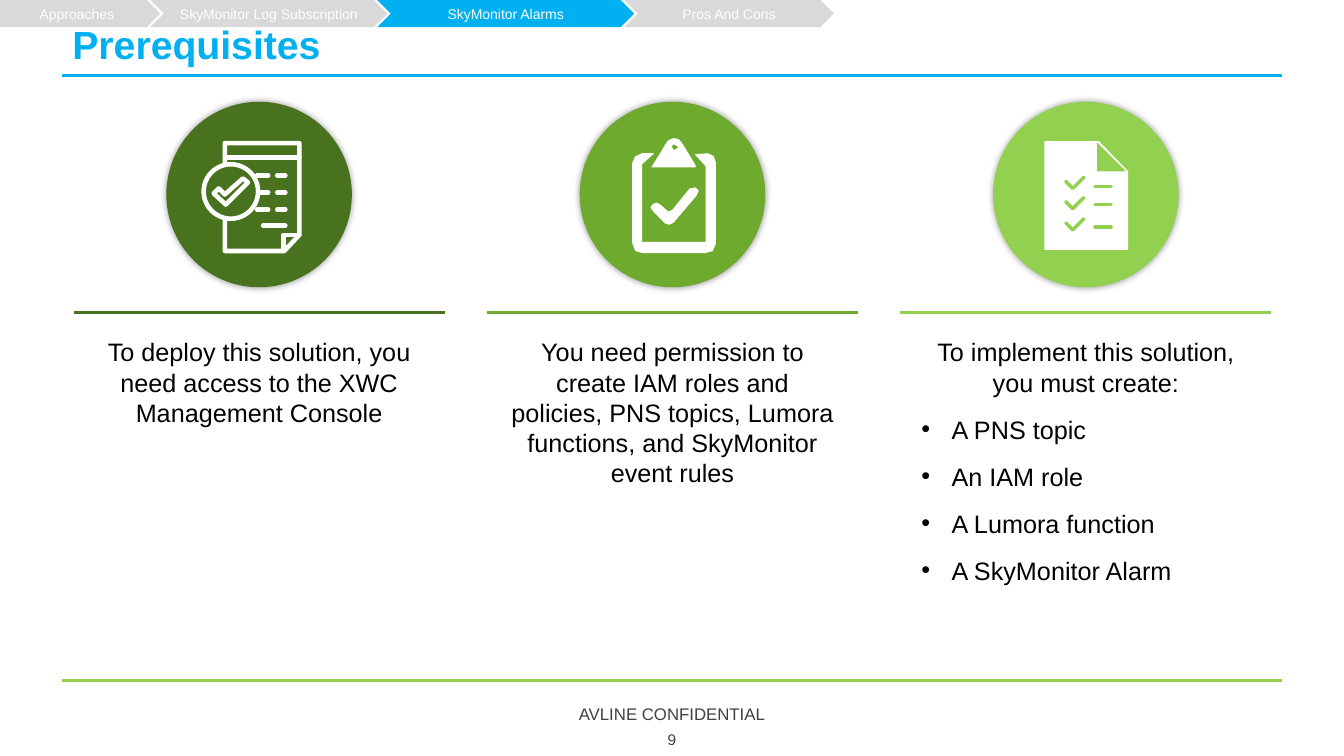
from pptx import Presentation
from pptx.dml.color import RGBColor
from pptx.enum.shapes import MSO_CONNECTOR, MSO_SHAPE
from pptx.enum.text import MSO_ANCHOR, PP_ALIGN
from pptx.oxml.ns import qn
from pptx.util import Inches, Pt
from lxml import etree

STRAIGHT = MSO_CONNECTOR.STRAIGHT
OVAL, PENTAGON, CHEVRON = MSO_SHAPE.OVAL, MSO_SHAPE.PENTAGON, MSO_SHAPE.CHEVRON
TOP, MIDDLE, BOTTOM = MSO_ANCHOR.TOP, MSO_ANCHOR.MIDDLE, MSO_ANCHOR.BOTTOM
LEFT, CENTER = PP_ALIGN.LEFT, PP_ALIGN.CENTER

FONT = "Arial"
BLACK = RGBColor(0x00, 0x00, 0x00)
WHITE = RGBColor(0xFF, 0xFF, 0xFF)
GREY = RGBColor(0xD9, 0xD9, 0xD9)
DARK_GREY = RGBColor(0x40, 0x40, 0x40)
BLUE = RGBColor(0x00, 0xB0, 0xF0)
DARK_GREEN = RGBColor(0x49, 0x72, 0x1E)
GREEN = RGBColor(0x6E, 0xAA, 0x2E)
LIGHT_GREEN = RGBColor(0x92, 0xD0, 0x50)

WIDTH, HEIGHT = Inches(13.33), Inches(7.5)
MARGIN, RULE_WIDTH = Inches(0.62), Inches(12.1)
COLUMN_LEFT, COLUMN_PITCH, COLUMN_WIDTH = Inches(0.73), Inches(4.1), Inches(3.68)
DISC = Inches(1.84)
UNIT = DISC // 184  # icons are drawn on a grid of 184 units across the disc

STEPS = [("Approaches", 1.59), ("SkyMonitor Log Subscription", 2.35),
         ("SkyMonitor Alarms", 2.55), ("Pros And Cons", 2.08)]
CURRENT_STEP = 2
STEP_OVERLAP, STEP_HEIGHT = Inches(0.1), Inches(0.27)


def style_para(para, text, size, colour, align=LEFT, bold=False):
    para.text = text
    para.alignment = align
    para.font.name, para.font.size, para.font.bold = FONT, Pt(size), bold
    para.font.color.rgb = colour


def add_text(page, box, anchor=TOP):
    frame = page.shapes.add_textbox(*box).text_frame
    frame.word_wrap, frame.vertical_anchor = True, anchor
    return frame


def paint(shape, colour):
    shape.shadow.inherit = False
    shape.fill.solid()
    shape.fill.fore_color.rgb = colour
    shape.line.fill.background()


def add_line(page, start, end, colour, width=2.25):
    line = page.shapes.add_connector(STRAIGHT, *start, *end)
    line.line.color.rgb, line.line.width = colour, Pt(width)
    etree.SubElement(line._element.spPr, qn("a:effectLst"))
    return line


def add_rule(page, left, top, width, colour):
    add_line(page, (left, top), (left + width, top), colour)


def outline(page, origin, contours, closed=True):
    """One freeform from lists of grid points; inner contours become holes."""
    builder = page.shapes.build_freeform(*contours[0][0], scale=UNIT)
    for index, points in enumerate(contours):
        if index:
            builder.move_to(*points[0])
        builder.add_line_segments(points[1:], close=closed)
    return builder.convert_to_shape(*origin)


def add_solid(page, origin, *contours):
    paint(outline(page, origin, contours), WHITE)


def add_stroke(page, origin, points, colour=WHITE, width=3.25, closed=False):
    if len(points) == 2:
        ends = [(origin[0] + x * UNIT, origin[1] + y * UNIT) for x, y in points]
        shape = add_line(page, *ends, colour, width)
    else:
        shape = outline(page, origin, [points], closed)
        shape.shadow.inherit = False
        shape.fill.background()
        shape.line.color.rgb, shape.line.width = colour, Pt(width)
    line = shape._element.spPr.find(qn("a:ln"))
    line.set("cap", "rnd")
    etree.SubElement(line, qn("a:round"))


def draw_review_icon(page, origin, colour):
    left, top = origin
    lens = page.shapes.add_shape(OVAL, left + 37 * UNIT, top + 62 * UNIT, 54 * UNIT, 54 * UNIT)
    paint(lens, colour)
    lens.line.color.rgb, lens.line.width = WHITE, Pt(3.25)
    sheet = [(58, 62), (58, 41), (132, 41), (132, 132), (117, 148), (58, 148), (58, 118)]
    fold = [(116, 148), (116, 132), (132, 132)]
    dashes = [[(start, y), (end, y)] for start, end, y in
              [(58, 132, 55), (90, 101, 73), (94, 101, 90), (90, 101, 107), (96, 118, 123)]]
    dashes += [[(110, y), (118, y)] for y in (73, 90, 107)]
    for points in [sheet, fold, *dashes]:
        add_stroke(page, origin, points)
    tick = [(47, 91), (52, 86), (58, 92), (76, 76), (81, 80), (59, 102)]
    add_stroke(page, origin, tick, closed=True)


def draw_clipboard_icon(page, origin, colour):
    board = [(74, 51), (62, 62), (62, 139), (125, 139), (125, 64), (114, 52), (127, 51),
             (133, 54), (135, 60), (135, 141), (132, 148), (125, 150), (62, 150),
             (55, 148), (52, 140), (52, 61), (55, 54), (62, 51)]
    clip = [(71, 65), (81, 49), (85, 42), (88, 38), (93, 36), (98, 37), (101, 40),
            (115, 63), (115, 65)]
    clip_hole = [(98, 45), (93, 42), (91, 45), (94, 48)]
    tick = [(118, 88), (116, 93), (93, 120), (89, 122), (85, 121), (73, 109), (70, 105),
            (72, 102), (76, 100), (80, 102), (88, 109), (92, 107), (109, 86), (115, 85)]
    add_solid(page, origin, board)
    add_solid(page, origin, clip, clip_hole)
    add_solid(page, origin, tick)


def draw_checklist_icon(page, origin, colour):
    sheet = [(51, 39), (105, 39), (134, 69), (134, 147), (51, 147)]
    fold = [(103, 40), (103, 69), (132, 69)]
    add_solid(page, origin, sheet, fold)
    for tick_top, dash in [(75, 84), (95, 102), (116, 124)]:
        tick = [(72, tick_top + 4), (79, tick_top + 11), (90, tick_top)]
        for points in (tick, [(101, dash), (117, dash)]):
            add_stroke(page, origin, points, colour, 2.5)


def add_disc(page, origin, colour):
    disc = page.shapes.add_shape(OVAL, *origin, DISC, DISC)
    paint(disc, colour)
    effects = disc._element.spPr.find(qn("a:effectLst"))
    shadow = etree.SubElement(effects, qn("a:outerShdw"), blurRad=str(Pt(5)), dist="0",
                              dir="0", algn="ctr", rotWithShape="0")
    black = etree.SubElement(shadow, qn("a:srgbClr"), val=str(BLACK))
    etree.SubElement(black, qn("a:alpha"), val="40000")


def add_bullet(para):
    properties = para._p.get_or_add_pPr()
    properties.set("marL", str(Inches(0.3)))
    properties.set("indent", str(-Inches(0.3)))
    etree.SubElement(properties, qn("a:buFont"), typeface=FONT)
    etree.SubElement(properties, qn("a:buChar"), char="•")


def add_column(page, left, colour, draw_icon, statement, items):
    """Icon disc, rule, centred statement and bulleted items."""
    origin = (left + (COLUMN_WIDTH - DISC) // 2, Inches(1.01))
    add_disc(page, origin, colour)
    draw_icon(page, origin, colour)
    add_rule(page, left, Inches(3.1), COLUMN_WIDTH, colour)
    inset = Inches(0.11)
    frame = add_text(page, (left + inset, Inches(3.29), COLUMN_WIDTH - 2 * inset, Inches(2.59)))
    style_para(frame.paragraphs[0], statement, 18, BLACK, CENTER)
    for item in items:
        para = frame.add_paragraph()
        style_para(para, item, 18, BLACK)
        add_bullet(para)
    for para in frame.paragraphs:
        para.space_after = Pt(12)


def add_step_trail(page, left, top):
    for index, (label, width) in enumerate(STEPS):
        kind = CHEVRON if index else PENTAGON
        step = page.shapes.add_shape(kind, left, top, Inches(width), STEP_HEIGHT)
        paint(step, BLUE if index == CURRENT_STEP else GREY)
        frame = step.text_frame
        frame.margin_left = frame.margin_right = frame.margin_top = frame.margin_bottom = 0
        frame.vertical_anchor = MIDDLE
        style_para(frame.paragraphs[0], label, 10, WHITE, CENTER)
        left += Inches(width) - STEP_OVERLAP


def add_frame(page):
    """Title, footer and the two rules that bound the content."""
    add_rule(page, MARGIN, Inches(6.75), RULE_WIDTH, LIGHT_GREEN)
    add_rule(page, MARGIN, Inches(0.75), RULE_WIDTH, BLUE)
    title = add_text(page, (MARGIN, Inches(0.12), Inches(11.74), Inches(0.6)), BOTTOM)
    style_para(title.paragraphs[0], "Prerequisites", 28, BLUE, bold=True)
    title.paragraphs[0].line_spacing = 0.9
    for text, size, top, width, height in [("AVLINE CONFIDENTIAL", 12, 6.93, 4.5, 0.3),
                                           ("9", 11, 7.21, 1.09, 0.25)]:
        box = ((WIDTH - Inches(width)) // 2, Inches(top), Inches(width), Inches(height))
        style_para(add_text(page, box, MIDDLE).paragraphs[0], text, size, DARK_GREY, CENTER)


def main():
    deck = Presentation()
    deck.slide_width, deck.slide_height = WIDTH, HEIGHT
    page = deck.slides.add_slide(deck.slide_layouts[6])
    add_frame(page)
    columns = [
        (DARK_GREEN, draw_review_icon,
         "To deploy this solution, you need access to the XWC Management Console", []),
        (GREEN, draw_clipboard_icon,
         "You need permission to create IAM roles and policies, PNS topics, Lumora "
         "functions, and SkyMonitor event rules", []),
        (LIGHT_GREEN, draw_checklist_icon, "To implement this solution, you must create:",
         ["A PNS topic", "An IAM role", "A Lumora function", "A SkyMonitor Alarm"]),
    ]
    for index, column in enumerate(columns):
        add_column(page, COLUMN_LEFT + index * COLUMN_PITCH, *column)
    add_step_trail(page, 0, 0)
    deck.save("out.pptx")


if __name__ == "__main__":
    main()
